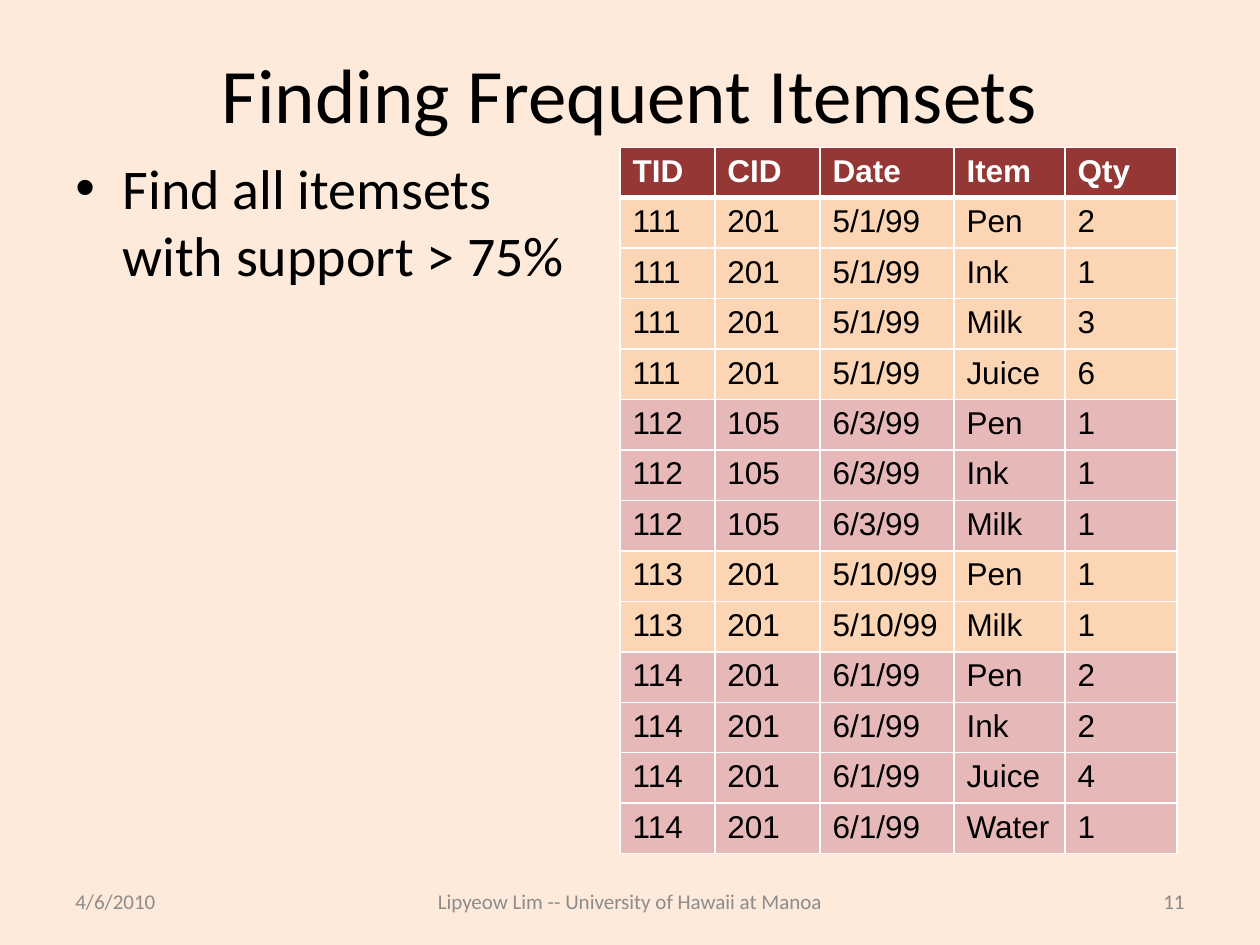
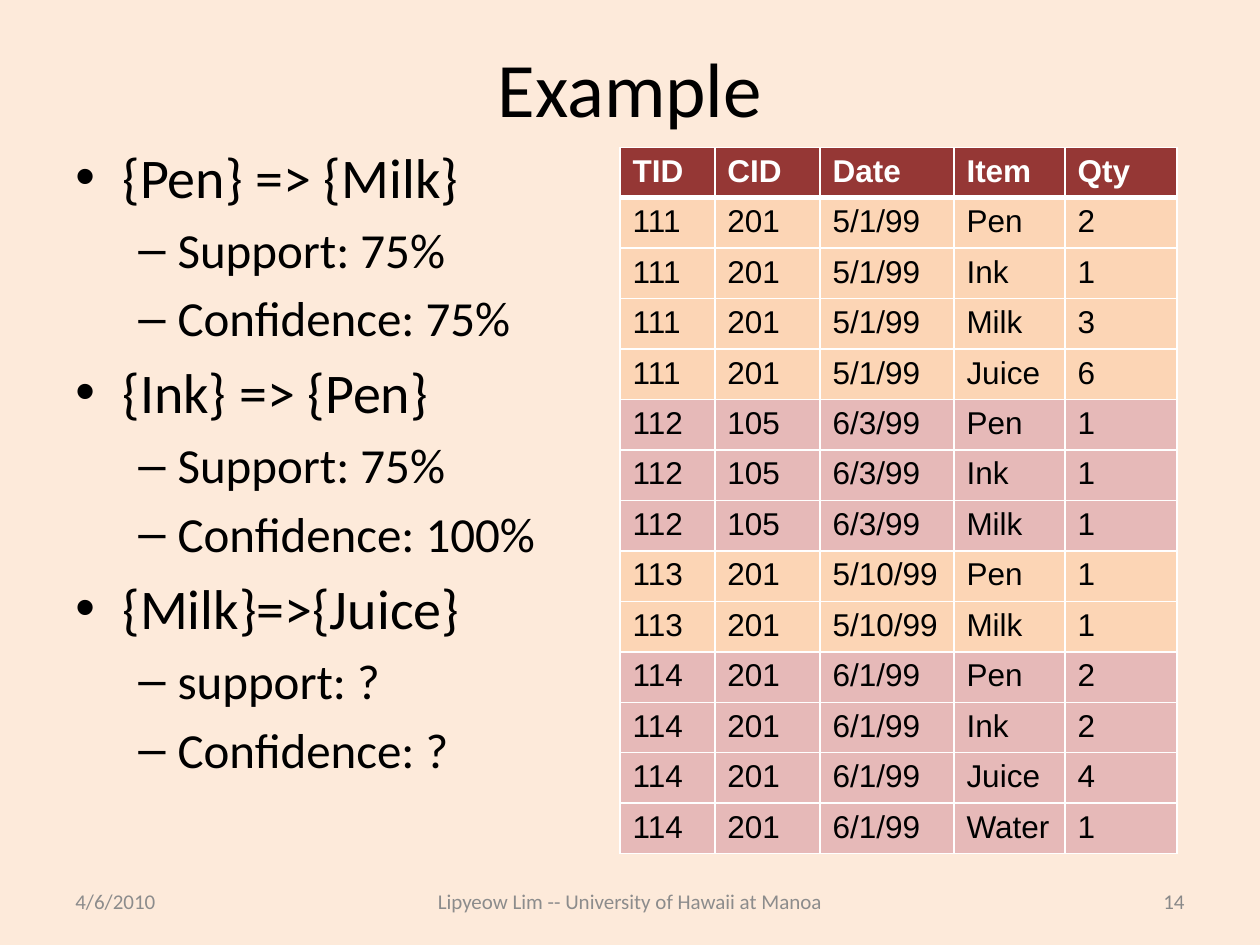
from lxml import etree
from pptx import Presentation
from pptx.dml.color import RGBColor
from pptx.enum.text import MSO_ANCHOR, PP_ALIGN
from pptx.oxml.ns import qn
from pptx.util import Cm, Pt

LEFT, CENTER, RIGHT = PP_ALIGN.LEFT, PP_ALIGN.CENTER, PP_ALIGN.RIGHT
TOP, MIDDLE = MSO_ANCHOR.TOP, MSO_ANCHOR.MIDDLE

PAPER, INK, WHITE = "FDEADA", "000000", "FFFFFF"
MAROON, PEACH, ROSE = "953735", "FCD5B5", "E6B9B8"
DIM, GRAY = "8C8C8C", "898989"
BODY, GRID = "Calibri", "Arial"
EDGE, WIDE = 1.27, 22.86
HEAD, FLOOR = 0.76, 17.02
LEVELS = [("•", 32, 0.95, -0.95), ("–", 28, 2.06, -0.79)]

FIELDS = ["TID", "CID", "Date", "Item", "Qty"]
COLS = [1.91, 2.12, 2.7, 2.24, 2.26]
SALES = [
    ("111", "201", "5/1/99", {"Pen": 2, "Ink": 1, "Milk": 3, "Juice": 6}),
    ("112", "105", "6/3/99", {"Pen": 1, "Ink": 1, "Milk": 1}),
    ("113", "201", "5/10/99", {"Pen": 1, "Milk": 1}),
    ("114", "201", "6/1/99", {"Pen": 2, "Ink": 2, "Juice": 4, "Water": 1}),
]

GOAL = [(0, "Find all itemsets with support > 75%")]
RULES = [
    (0, "{Pen} => {Milk}"),
    (1, "Support: 75%"),
    (1, "Confidence: 75%"),
    (0, "{Ink} => {Pen}"),
    (1, "Support: 75%"),
    (1, "Confidence: 100%"),
    (0, "{Milk}=>{Juice}"),
    (1, "support: ?"),
    (1, "Confidence: ?"),
]


def color(code):
    """Turn a hex string into a colour."""
    return RGBColor.from_string(code)


def style(para, size, code, face=BODY, bold=False):
    """Set the font of a paragraph."""
    font = para.font
    font.name, font.size, font.bold = face, Pt(size), bold
    font.color.rgb = color(code)


def add_box(slide, left, top, width, height, anchor=MIDDLE):
    """Add an empty wrapping text box and return its frame."""
    box = slide.shapes.add_textbox(Cm(left), Cm(top), Cm(width), Cm(height))
    frame = box.text_frame
    frame.word_wrap = True
    frame.vertical_anchor = anchor
    return frame


def add_line(slide, text, place, size, code, align):
    """Add one line of text in a box."""
    para = add_box(slide, *place).paragraphs[0]
    para.text, para.alignment = text, align
    style(para, size, code)


def add_list(slide, top, items):
    """Add the bulleted list in the left half."""
    frame = add_box(slide, EDGE, top, 11, FLOOR - top, TOP)
    for i, (level, text) in enumerate(items):
        para = frame.add_paragraph() if i else frame.paragraphs[0]
        mark, size, margin, indent = LEVELS[level]
        para.text, para.level = text, level
        if i:
            para.space_before = Pt(size * 0.2)
        props = para._p.get_or_add_pPr()
        props.set("marL", str(Cm(margin)))
        props.set("indent", str(Cm(indent)))
        etree.SubElement(props, qn("a:buFont")).set("typeface", "Arial")
        etree.SubElement(props, qn("a:buChar")).set("char", mark)
        style(para, size, INK)


def add_edge(cell, side, width):
    """Draw one white border of a cell."""
    props = cell._tc.get_or_add_tcPr()
    line = etree.SubElement(props, qn("a:ln" + side), w=str(Pt(width)))
    fill = etree.SubElement(line, qn("a:solidFill"))
    etree.SubElement(fill, qn("a:srgbClr"), val=WHITE)


def fill_row(table, row, values, shade, code=INK):
    """Write, shade and border one table row."""
    thick = {(0, "B"): 3, (1, "T"): 3}
    for col, value in enumerate(values):
        cell = table.cell(row, col)
        cell.text = str(value)
        style(cell.text_frame.paragraphs[0], 18, code, GRID, row == 0)
        for side in "LRTB":
            add_edge(cell, side, thick.get((row, side), 1))
        cell.fill.solid()
        cell.fill.fore_color.rgb = color(shade)


def add_sales(slide):
    """Add the table of sales, shaded in turn by transaction."""
    rows = 1 + sum(len(sale[-1]) for sale in SALES)
    table = slide.shapes.add_table(
        rows, len(COLS), Cm(12.5), Cm(2.97), Cm(sum(COLS)), Cm(14.2)
    ).table
    table.horz_banding = False
    for col, width in zip(table.columns, COLS):
        col.width = Cm(width)
    fill_row(table, 0, FIELDS, MAROON, WHITE)
    row = 1
    for i, (tid, cid, date, goods) in enumerate(SALES):
        for item, count in goods.items():
            fill_row(table, row, (tid, cid, date, item, count), (PEACH, ROSE)[i % 2])
            row += 1


def add_foot(slide, number):
    """Add the date, author and slide number."""
    top, high = 17.65, 1.02
    author = "Lipyeow Lim -- University of Hawaii at Manoa"
    add_line(slide, "4/6/2010", (EDGE, top, 5.92, high), 12, DIM, LEFT)
    add_line(slide, author, (7.62, top, 10.16, high), 12, DIM, CENTER)
    add_line(slide, str(number), (18.21, top, 5.92, high), 12, GRAY, RIGHT)


def add_page(deck, title, top, items, number):
    """Add a slide with a title, list, table and footer."""
    slide = deck.slides.add_slide(deck.slide_layouts[6])
    slide.background.fill.solid()
    slide.background.fill.fore_color.rgb = color(PAPER)
    add_line(slide, title, (EDGE, HEAD, WIDE, top - HEAD), 44, INK, CENTER)
    add_list(slide, top, items)
    add_foot(slide, number)
    add_sales(slide)


def main():
    """Build and save the deck."""
    deck = Presentation()
    deck.slide_width, deck.slide_height = Cm(25.4), Cm(19.05)
    add_page(deck, "Finding Frequent Itemsets", 2.97, GOAL, 11)
    add_page(deck, "Example", 2.74, RULES, 14)
    deck.save("out.pptx")


if __name__ == "__main__":
    main()
